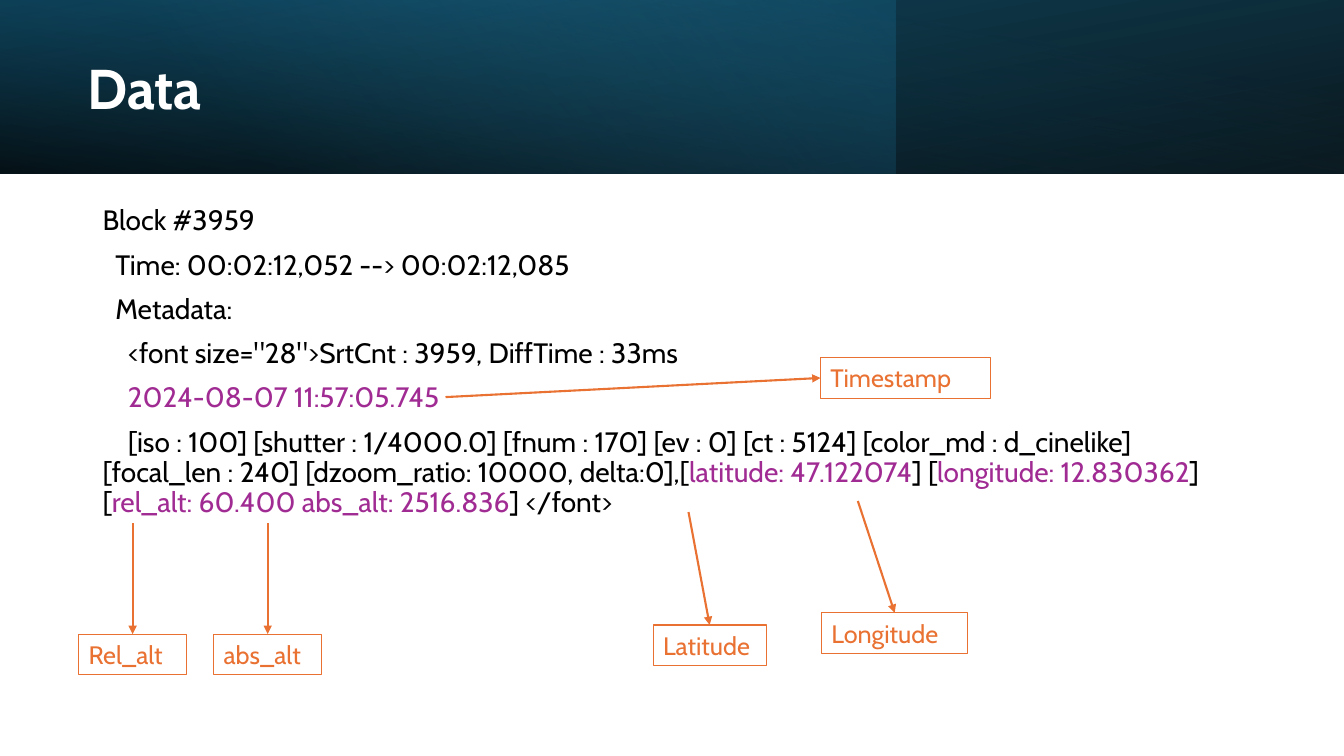
from lxml.etree import SubElement
from pptx import Presentation
from pptx.dml.color import RGBColor
from pptx.enum.shapes import MSO_CONNECTOR, MSO_SHAPE
from pptx.enum.text import MSO_ANCHOR, PP_ALIGN
from pptx.oxml.ns import qn
from pptx.util import Inches, Pt

BLACK = RGBColor(0x00, 0x00, 0x00)
WHITE = RGBColor(0xFF, 0xFF, 0xFF)
NAVY = RGBColor(0x10, 0x48, 0x62)
TEAL = RGBColor(0x15, 0x60, 0x82)
SKY = RGBColor(0x46, 0xB1, 0xE1)
PURPLE = RGBColor(0xA0, 0x2B, 0x93)
ORANGE = RGBColor(0xE9, 0x71, 0x32)

deck = Presentation()
deck.slide_width = Inches(13.333)
deck.slide_height = Inches(7.5)
slide = deck.slides.add_slide(deck.slide_layouts[6])
shapes = slide.shapes


def grid(x, y, *size):
    """Turn shares (percent) of the slide's width and height into lengths."""
    sides = (deck.slide_width, deck.slide_height) * 2
    return [round(part * side / 100) for part, side in zip((x, y, *size), sides)]


def style(run, size, color, bold=False):
    run.font.name = "Cabin"
    run.font.size = Pt(size)
    run.font.bold = bold
    run.font.color.rgb = color


# Header: three stacked gradients; each stop is place, colour, opacity
BANDS = [
    (100, 180, True, 100, [(0, BLACK, 96), (1, NAVY, 100)]),
    (66.67, 0, False, 140, [(0, TEAL, 41), (0.74, SKY, 0)]),
    (100, 0, True, 260, [(0, BLACK, 63), (0.78, TEAL, 15)]),
]
for width, turn, flip, angle, stops in BANDS:
    band = shapes.add_shape(MSO_SHAPE.RECTANGLE, *grid(0, 0, width, 22.93))
    band.shadow.inherit = False
    band.line.fill.background()
    band.rotation = turn
    if flip:
        band._element.spPr.xfrm.set("flipH", "1")
    band.fill.gradient()
    band.fill.gradient_angle = 360 - angle
    for stop, (place, color, _) in zip(band.fill.gradient_stops, stops):
        stop.position = place
        stop.color.rgb = color
    tints = band._element.spPr.iter(qn("a:srgbClr"))
    for tint, (_, _, alpha) in zip(list(tints), stops):
        SubElement(tint, qn("a:alpha"), val=str(alpha * 1000))

title = shapes.add_textbox(*grid(5.78, 3.6, 57.9, 16.93)).text_frame
title.word_wrap = True
title.vertical_anchor = MSO_ANCHOR.MIDDLE
title.text = "Data"
title.paragraphs[0].line_spacing = 0.9
style(title.paragraphs[0].runs[0], 40, WHITE, True)

# Body: first-line indent in steps, then the runs of the line
LINES = [
    (0, [("Block #3959", BLACK)]),
    (1, [("Time: 00:02:12,052 --> 00:02:12,085", BLACK)]),
    (1, [("Metadata:", BLACK)]),
    (2, [('<font size="28">SrtCnt : 3959, DiffTime : 33ms', BLACK)]),
    (2, [("2024-08-07 11:57:05.745", PURPLE)]),
    (2, [
        ("[iso : 100] [shutter : 1/4000.0] [fnum : 170] [ev : 0] [ct : 5124] "
         "[color_md : d_cinelike] [focal_len : 240] "
         "[dzoom_ratio: 10000, delta:0],[", BLACK),
        ("latitude: 47.122074", PURPLE),
        ("] [", BLACK),
        ("longitude: 12.830362", PURPLE),
        ("] [", BLACK),
        ("rel_alt: 60.400 abs_alt: 2516.836", PURPLE),
        ("] </font>", BLACK),
    ]),
]
STEP = Inches(0.125)
body = shapes.add_textbox(*grid(6.9, 26.67, 86.25, 63.47)).text_frame
body.word_wrap = True
for row, (level, parts) in enumerate(LINES):
    para = body.add_paragraph() if row else body.paragraphs[0]
    para.line_spacing = 0.9
    if row:
        para.space_before = Pt(10)
    props = para._p.get_or_add_pPr()
    props.set("marL", "0")
    props.set("indent", str(level * STEP))
    for text, color in parts:
        run = para.add_run()
        run.text = text
        style(run, 20, color)

# Labels: text, left, top, width, arrow start, side the arrow meets
TOP, LEFT = 0, 1
LABELS = [
    ("Timestamp", 61.05, 47.33, 12.68, (33.15, 52.53), LEFT),
    ("Longitude", 61.13, 81.07, 10.88, (63.83, 66.27), TOP),
    ("Latitude", 48.6, 82.67, 8.4, (51.23, 67.73), TOP),
    ("Rel_alt", 5.85, 83.87, 8.04, (9.87, 69.2), TOP),
    ("abs_alt", 15.9, 83.87, 8.04, (19.92, 69.2), TOP),
]
for text, x, y, width, start, side in LABELS:
    label = shapes.add_shape(MSO_SHAPE.RECTANGLE, *grid(x, y, width, 5.33))
    label.shadow.inherit = False
    label.fill.background()
    label.line.color.rgb = ORANGE
    label.line.width = Pt(0.75)
    frame = label.text_frame
    frame.word_wrap = True
    frame.vertical_anchor = MSO_ANCHOR.TOP
    frame.text = text
    frame.paragraphs[0].alignment = PP_ALIGN.LEFT
    style(frame.paragraphs[0].runs[0], 18, ORANGE)

    arrow = shapes.add_connector(MSO_CONNECTOR.STRAIGHT, *grid(*start), *grid(x, y))
    arrow.end_connect(label, side)
    arrow.line.color.rgb = ORANGE
    arrow.line.width = Pt(1.5)
    SubElement(arrow.line._get_or_add_ln(), qn("a:tailEnd"), type="triangle")
    SubElement(arrow._element.spPr, qn("a:effectLst"))

deck.save("out.pptx")
